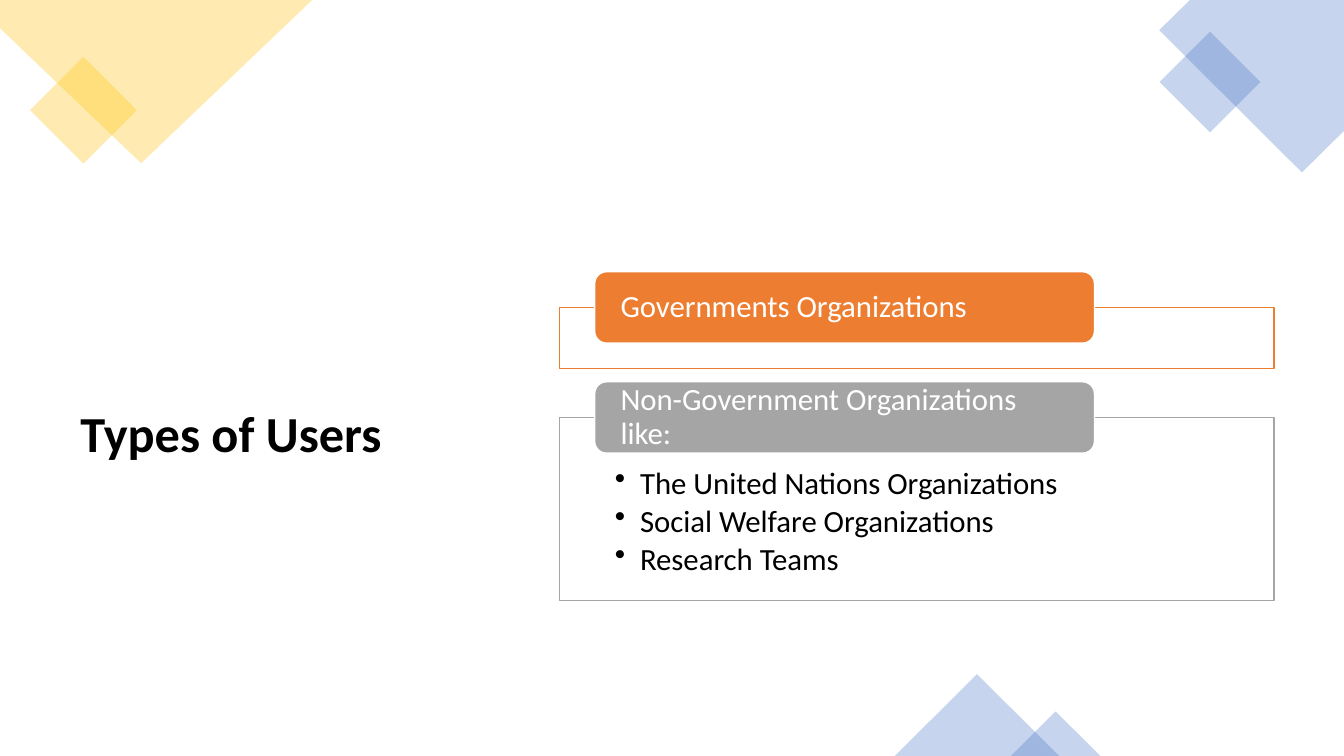
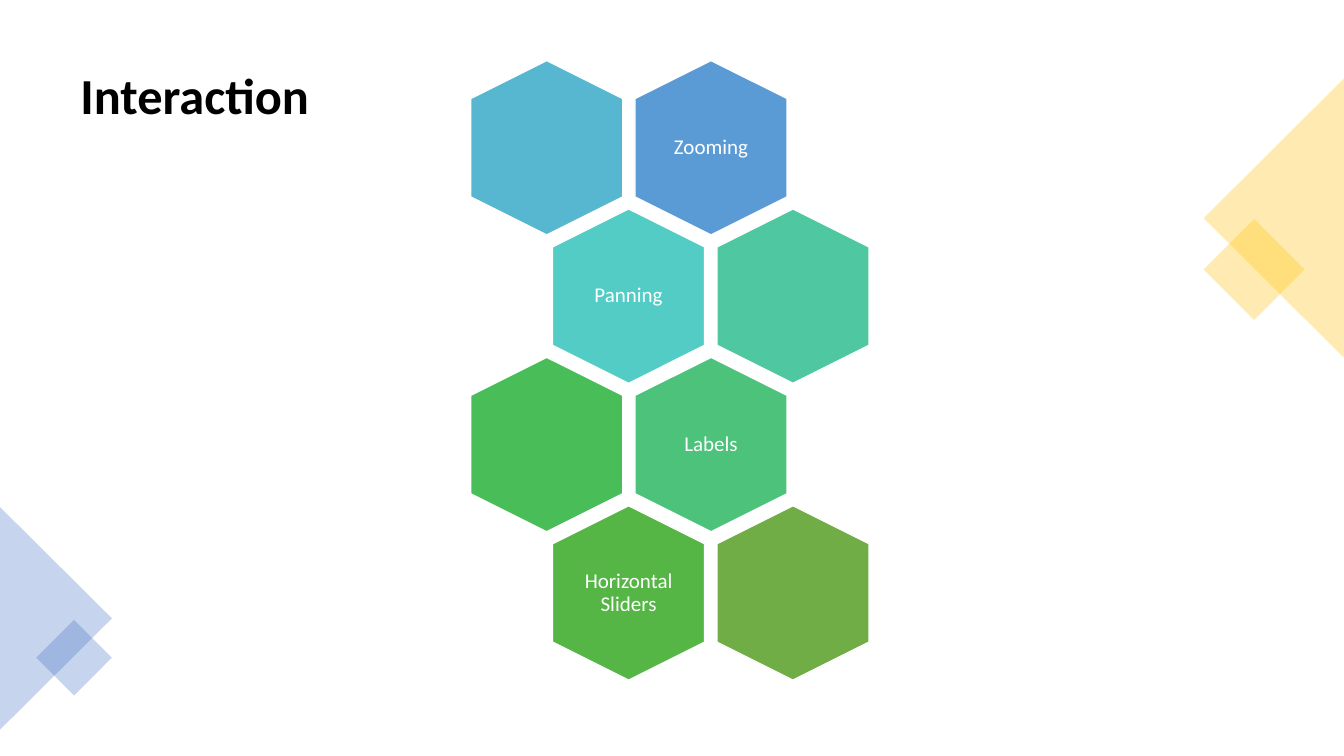
from pptx import Presentation
from pptx.dml.color import RGBColor
from pptx.enum.shapes import MSO_SHAPE
from pptx.enum.text import MSO_ANCHOR, PP_ALIGN
from pptx.oxml.ns import qn
from pptx.oxml.xmlchemy import OxmlElement
from pptx.util import Pt

RECT = MSO_SHAPE.RECTANGLE
ROUND = MSO_SHAPE.ROUNDED_RECTANGLE
TRI = MSO_SHAPE.ISOSCELES_TRIANGLE
HEX = MSO_SHAPE.HEXAGON
TOP, MID = MSO_ANCHOR.TOP, MSO_ANCHOR.MIDDLE
LEFT, MIDST = PP_ALIGN.LEFT, PP_ALIGN.CENTER

COLORS = {
    "white": "FFFFFF", "black": "000000", "gold": "FFC000", "blue": "4472C4",
    "rust": "ED7D31", "gray": "A5A5A5", "sky": "5B9BD5", "lake": "57B7D1",
    "aqua": "53CCC5", "mint": "4FC7A0", "jade": "4CC27B", "leaf": "48BD58",
    "grass": "55B646", "moss": "70AD47",
}


def tint(name):
    return RGBColor.from_string(COLORS[name])


def write(shape, text, size=22, color="white", bold=False, align=LEFT,
          anchor=MID, inset=(7.2, 3.6, 7.2, 3.6), bullet=None, after=0):
    frame = shape.text_frame
    frame.word_wrap = True
    frame.vertical_anchor = anchor
    (frame.margin_left, frame.margin_top,
     frame.margin_right, frame.margin_bottom) = map(Pt, inset)
    frame.text = text
    for para in frame.paragraphs:
        para.alignment = align
        para.line_spacing = 0.9
        para.space_after = Pt(after)
        font = para.font
        font.name, font.size, font.bold = "Calibri", Pt(size), bold
        font.color.rgb = tint(color)
        for run in para.runs:
            run.font.name, run.font.size, run.font.bold = "Calibri", Pt(size), bold
            run.font.color.rgb = tint(color)
        if bullet:
            props = para._p.get_or_add_pPr()
            props.set("marL", str(Pt(18)))
            props.set("indent", str(Pt(-18)))
            mark = OxmlElement("a:buChar")
            mark.set("char", bullet)
            props.insert_element_before(mark, "a:tabLst", "a:defRPr", "a:extLst")


class Deck:
    def __init__(self):
        self.file = Presentation()
        self.file.slide_width, self.file.slide_height = Pt(960), Pt(540)
        self.slide = None

    def page(self):
        self.slide = self.file.slides.add_slide(self.file.slide_layouts[6])

    def style(self, shape, fill, line=None, alpha=100):
        shape.shadow.inherit = False
        shape.fill.solid()
        shape.fill.fore_color.rgb = tint(fill)
        if alpha < 100:
            node = OxmlElement("a:alpha")
            node.set("val", str(alpha * 1000))
            solid = shape.element.spPr.find(qn("a:solidFill"))
            solid.find(qn("a:srgbClr")).append(node)
        if line:
            shape.line.color.rgb = tint(line)
            shape.line.width = Pt(1)
        else:
            shape.line.fill.background()
        return shape

    def shape(self, kind, box, fill, line=None, alpha=100, turn=0):
        shape = self.slide.shapes.add_shape(kind, *map(Pt, box))
        shape.rotation = turn
        return self.style(shape, fill, line, alpha)

    def label(self, text, box, **form):
        write(self.slide.shapes.add_textbox(*map(Pt, box)), text, **form)

    def title(self, text, box):
        self.label(text, box, size=36, color="black", bold=True)

    def gem(self, x, y, side, fill):
        self.shape(RECT, (x, y, side, side), fill, alpha=30, turn=45)

    def peak(self, box, fill, turn=0):
        self.shape(TRI, box, fill, alpha=30, turn=turn)

    def patch(self, points, fill):
        spots = [(Pt(x), Pt(y)) for x, y in points]
        pen = self.slide.shapes.build_freeform(*spots[0])
        pen.add_line_segments(spots[1:], close=True)
        self.style(pen.convert_to_shape(), fill, alpha=30)

    def panel(self, head, items, top, high, color):
        frame = self.shape(RECT, (399.6, top, 510.5, high), "white", color, 90)
        if items:
            write(frame, "\n".join(items), color="black", anchor=TOP,
                  inset=(39.6, 36, 39.6, 12), bullet="•", after=3.3)
        bar = self.shape(ROUND, (424.8, top - 25.5, 357, 51), color, "white")
        write(bar, head, inset=(16, 0, 16, 0))

    def cell(self, text, x, y, color):
        self.shape(HEX, (x, y, 124.6, 108.7), color, "white", turn=90)
        if text:
            self.label(text, (x + 24.8, y + 11.5, 75, 85.7), size=15,
                       align=MIDST, inset=(4.3,) * 4)


def users(deck):
    deck.page()
    deck.title("Types of Users", (50.4, 134, 311.8, 355.7))
    deck.gem(32.6, 51.7, 54, "gold")
    deck.patch([(0, 0), (223, 0), (100.8, 116.6), (0, 20.2)], "gold")
    deck.patch([(850, 0), (960, 0), (960, 93.5), (930, 123.2), (828, 21.6)], "blue")
    deck.gem(838.8, 33.1, 51, "blue")
    deck.peak((639.2, 481.6, 117.4, 58.4), "blue")
    deck.peak((722, 508.2, 64, 31.8), "blue")
    deck.panel("Governments Organizations", [], 219.6, 43.7, "rust")
    items = ["The United Nations Organizations", "Social Welfare Organizations",
             "Research Teams"]
    deck.panel("Non-Government Organizations like:", items, 298.2, 130.8, "gray")


def action(deck):
    deck.page()
    deck.title("Interaction", (50.4, 25.2, 859, 89.3))
    deck.gem(870.3, 167, 51, "gold")
    deck.peak((810.2, 105.8, 199.4, 100), "gold", 270)
    deck.peak((-39.6, 401.7, 159.1, 80), "blue", 90)
    deck.gem(33.8, 450.7, 38.2, "blue")
    rows = [
        [("", "lake"), ("Zooming", "sky")],
        [("Panning", "aqua"), ("", "mint")],
        [("", "leaf"), ("Labels", "jade")],
        [("Horizontal Sliders", "grass"), ("", "moss")],
    ]
    for row, cells in enumerate(rows):
        for col, (text, color) in enumerate(cells):
            x = 328.2 + 117.4 * col + 58.5 * (row % 2)
            deck.cell(text, x, 51.2 + 106 * row, color)


def main():
    deck = Deck()
    users(deck)
    action(deck)
    deck.file.save("out.pptx")


if __name__ == "__main__":
    main()
